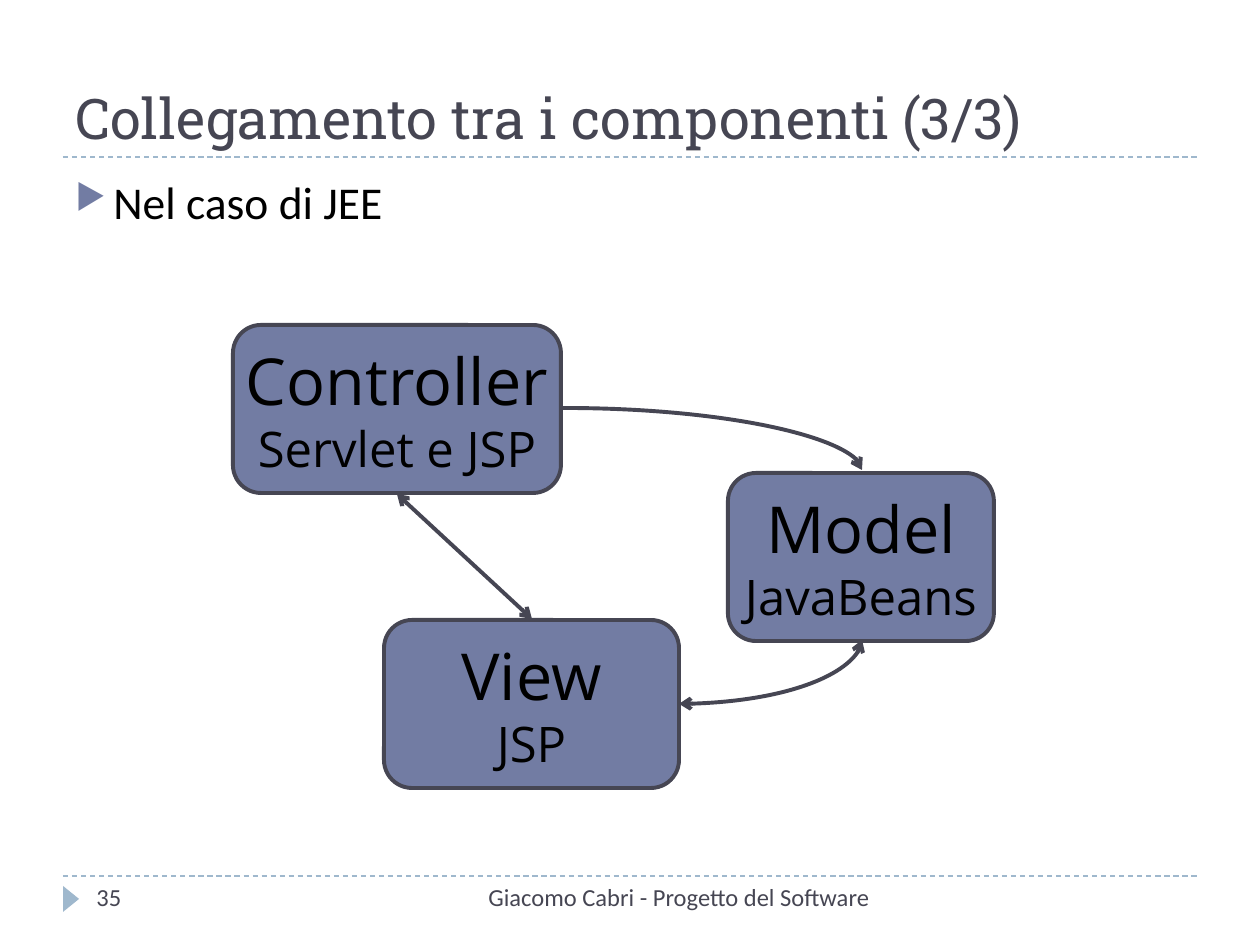
from lxml import etree
from pptx import Presentation
from pptx.dml.color import RGBColor
from pptx.enum.dml import MSO_LINE
from pptx.enum.shapes import MSO_CONNECTOR, MSO_SHAPE
from pptx.enum.text import MSO_ANCHOR, PP_ALIGN
from pptx.oxml.ns import qn
from pptx.util import Emu, Pt

SCALE = 914400 // 126
PAGE_WIDTH, PAGE_HEIGHT = 1260, 945
INK = RGBColor(0x46, 0x46, 0x53)
BLACK = RGBColor(0x00, 0x00, 0x00)
SLATE = RGBColor(0x72, 0x7C, 0xA3)
PALE_BLUE = RGBColor(0x9F, 0xB8, 0xCD)
STRAIGHT, CURVE = MSO_CONNECTOR.STRAIGHT, MSO_CONNECTOR.CURVE
ROUNDED, TRIANGLE = MSO_SHAPE.ROUNDED_RECTANGLE, MSO_SHAPE.ISOSCELES_TRIANGLE
LEFT, CENTER, RIGHT = PP_ALIGN.LEFT, PP_ALIGN.CENTER, PP_ALIGN.RIGHT
TOP, MIDDLE, BOTTOM = MSO_ANCHOR.TOP, MSO_ANCHOR.MIDDLE, MSO_ANCHOR.BOTTOM
DASH = MSO_LINE.DASH


def px(*lengths):
    """Turn pixel lengths into EMU."""
    return [Emu(length * SCALE) for length in lengths]


def add_span(para, text, size, font, color):
    """Add one formatted run to a paragraph."""
    span = para.add_run()
    span.text = text
    span.font.size = Pt(size)
    span.font.name = font
    span.font.color.rgb = color


def add_text(page, box, text, size, font, color, align=LEFT, anchor=TOP):
    """Add a wrapping text box with one paragraph and return the paragraph."""
    frame = page.shapes.add_textbox(*px(*box)).text_frame
    frame.word_wrap = True
    frame.vertical_anchor = anchor
    para = frame.paragraphs[0]
    para.alignment = align
    add_span(para, text, size, font, color)
    return para


def add_line(page, start, end, color, width, kind=STRAIGHT):
    """Add a connector without shadow between two points."""
    line = page.shapes.add_connector(kind, *px(*start, *end))
    line.line.color.rgb = color
    line.line.width = Pt(width)
    etree.SubElement(line._element.spPr, qn("a:effectLst"))
    return line


def add_arrow(page, start, end, kind=STRAIGHT, both=True):
    """Add an arrow, either straight or curved through a quarter turn."""
    arrow = add_line(page, start, end, INK, 2.25, kind)
    if kind == CURVE:
        arrow._element.spPr.find(qn("a:prstGeom")).set("prst", "curvedConnector2")
    outline = arrow.line._get_or_add_ln()
    for tag in ["a:headEnd", "a:tailEnd"] if both else ["a:tailEnd"]:
        etree.SubElement(outline, qn(tag), type="arrow")


def add_rule(page, left, top, width):
    """Add a dashed horizontal rule."""
    rule = add_line(page, (left, top), (left + width, top), PALE_BLUE, 0.75)
    rule.line.dash_style = DASH


def add_heading(page, box, text):
    """Place the slide title above its rule."""
    left, top, width, height = box
    add_rule(page, left, top + height, width)
    add_text(page, box, text, 32, "Roboto Slab", INK, anchor=BOTTOM)


def add_bullet(page, box, text):
    """Place the bulleted body text."""
    para = add_text(page, box, text, 26, "Calibri", BLACK)
    para.space_before = Pt(6)
    properties = para._p.get_or_add_pPr()
    indent = 38 * SCALE
    properties.set("marL", str(indent))
    properties.set("indent", str(-indent))
    color = etree.SubElement(properties, qn("a:buClr"))
    etree.SubElement(color, qn("a:srgbClr"), val=str(SLATE))
    etree.SubElement(properties, qn("a:buSzPct"), val="76000")
    etree.SubElement(properties, qn("a:buChar"), char="\u25b6")


def add_component(page, box, name, technology):
    """Place a rounded box with a component name and its technology."""
    shape = page.shapes.add_shape(ROUNDED, *px(*box))
    shape.shadow.inherit = False
    shape.fill.solid()
    shape.fill.fore_color.rgb = SLATE
    shape.line.color.rgb = INK
    shape.line.width = Pt(2.25)
    frame = shape.text_frame
    frame.word_wrap = False
    frame.vertical_anchor = MIDDLE
    paras = [frame.paragraphs[0], frame.add_paragraph()]
    for para, text, size in zip(paras, (name, technology), (37, 28)):
        para.alignment = CENTER
        add_span(para, text, size, "Open Sans", BLACK)


def add_diagram(page, box):
    """Place the three components and the arrows that join them."""
    left, top = box[:2]
    height = 168
    components = [
        (0, 0, 328, "Controller", "Servlet e JSP"),
        (151, 295, 295, "View", "JSP"),
        (495, 148, 266, "Model", "JavaBeans"),
    ]
    for x, y, width, name, technology in components:
        add_component(page, (left + x, top + y, width, height), name, technology)
    arrows = [
        ((330, 83), (629, 145), CURVE, False),
        ((446, 379), (629, 315), CURVE, True),
        ((164, 169), (299, 294), STRAIGHT, True),
    ]
    for (x1, y1), (x2, y2), kind, both in arrows:
        add_arrow(page, (left + x1, top + y1), (left + x2, top + y2), kind, both)


def add_footer(page, box, number, text):
    """Place the footer rule, marker, page number and footer text."""
    left, top, width, height = box
    add_rule(page, left, top, width)
    marker = page.shapes.add_shape(TRIANGLE, *px(left - 5, top + 15, 26, 16))
    marker.rotation = 90
    marker.shadow.inherit = False
    marker.fill.solid()
    marker.fill.fore_color.rgb = PALE_BLUE
    marker.line.fill.background()
    add_text(page, (left + 21, top, 273, height), number, 14, "Calibri", INK)
    add_text(page, (left + 336, top, 483, height), text, 14, "Calibri", INK, RIGHT)


def main():
    """Build the deck and save it."""
    deck = Presentation()
    deck.slide_width, deck.slide_height = px(PAGE_WIDTH, PAGE_HEIGHT)
    page = deck.slides.add_slide(deck.slide_layouts[6])
    add_heading(page, (63, 21, 1134, 136), "Collegamento tra i componenti (3/3)")
    add_bullet(page, (63, 168, 1134, 680), "Nel caso di JEE")
    add_diagram(page, (233, 325, 761, 463))
    add_footer(page, (63, 876, 1134, 50), "35", "Giacomo Cabri - Progetto del Software")
    deck.save("out.pptx")


main()
